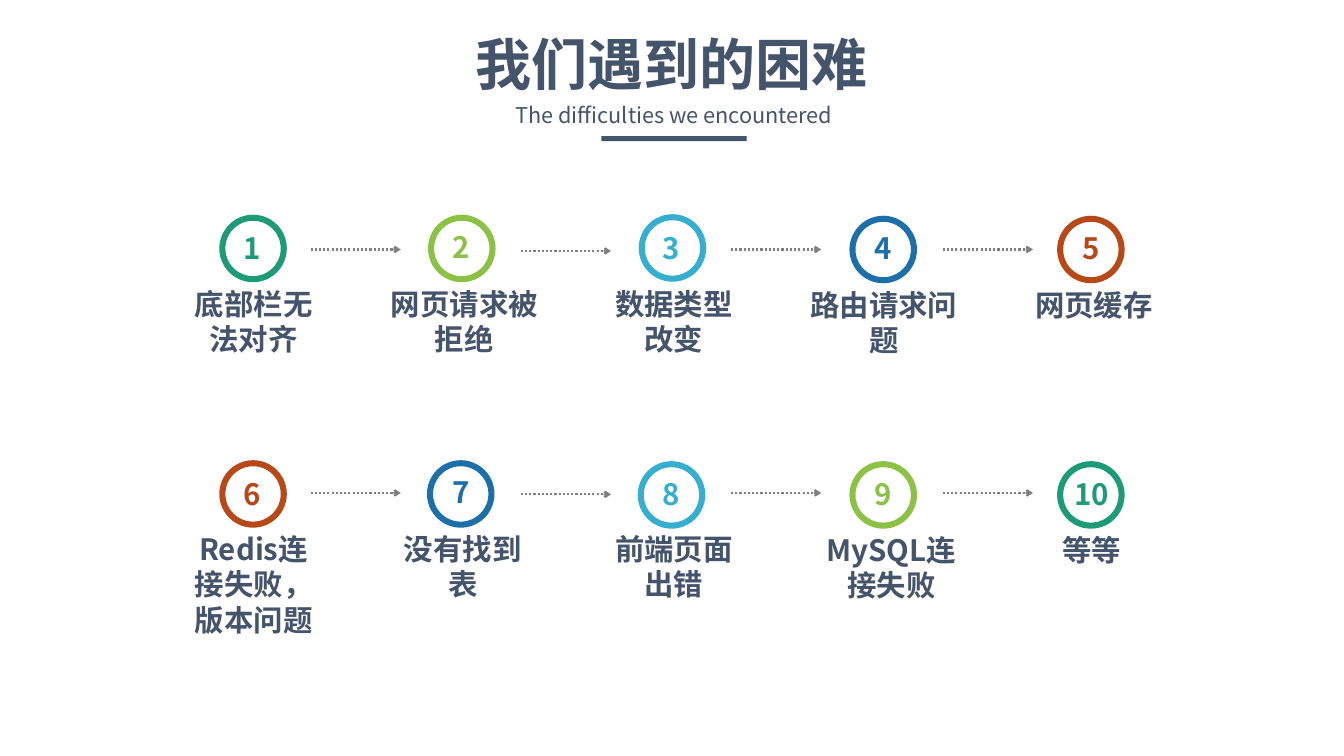
import pptx
import pptx.util
import pptx.dml.color
import pptx.enum.dml
import pptx.enum.shapes
import pptx.enum.text
import pptx.oxml.ns
import lxml.etree

Pt = pptx.util.Pt
RGB = pptx.dml.color.RGBColor.from_string
SHAPE = pptx.enum.shapes.MSO_SHAPE
qn = pptx.oxml.ns.qn
FONT = "Noto Sans CJK SC"
COLORS = {"slate": "44546A", "green": "1D9A78", "lime": "8BC145", "cyan": "36AFCE",
          "blue": "1D6FA9", "rust": "B74919", "grey": "808080"}

prs = pptx.Presentation()
prs.slide_width, prs.slide_height = Pt(1919.52), Pt(1080)
s = prs.slides.add_slide(prs.slide_layouts[6])


def add_text(text, x, y, w, h, size, color, bold=True, inset=14.4, grow=True):
    tf = s.shapes.add_textbox(Pt(x), Pt(y), Pt(w), Pt(h)).text_frame
    tf.word_wrap = True
    if grow:
        tf.auto_size = pptx.enum.text.MSO_AUTO_SIZE.SHAPE_TO_FIT_TEXT
    tf.margin_left = tf.margin_right = Pt(inset)
    tf.margin_top = tf.margin_bottom = Pt(inset / 2)
    tf.text = text
    p = tf.paragraphs[0]
    p.alignment = pptx.enum.text.PP_ALIGN.CENTER
    f = p.runs[0].font
    f.name, f.size, f.bold = FONT, Pt(size), bold
    f.color.rgb = RGB(COLORS[color])
    # East Asian glyphs take their own font setting
    lxml.etree.SubElement(p.runs[0]._r.get_or_add_rPr(), qn("a:ea"), typeface=FONT)
    return p


def add_solid(kind, x, y, w, h, color):
    sp = s.shapes.add_shape(kind, Pt(x), Pt(y), Pt(w), Pt(h))
    sp.shadow.inherit = False
    sp.fill.solid()
    sp.fill.fore_color.rgb = RGB(COLORS[color])
    sp.line.fill.background()
    return sp


# Title, subtitle and rule
add_text("我们遇到的困难", 135.4, 38.2, 1648, 104.4, 80, "slate", inset=7.2)
p = add_text("The difficulties we encountered", 185, 128.9, 1554.5, 66.2, 31, "slate",
             bold=False, inset=17.28, grow=False)
p.line_spacing = 1.2
add_solid(SHAPE.RECTANGLE, 859, 194.4, 207.4, 7.2, "slate")

# Steps: label, colour, ring left, ring top, label left, label width, label lines
RING = 96.5
ROW_PITCH = 350.6
NUMBER_LEFTS = [319.7, 617.8, 918, 1219.7, 1517.8]
steps = [
    ("底部栏无法对齐", "green", 313.2, 306.7, 257.8, 208.8, 2),
    ("网页请求被拒绝", "lime", 611.3, 306.7, 527.8, 270.7, 2),
    ("数据类型改变", "cyan", 912.2, 306, 858.2, 208.8, 2),
    ("路由请求问题", "blue", 1213.2, 308.2, 1134.7, 254.9, 2),
    ("网页缓存", "rust", 1509.8, 308.2, 1397.5, 329.8, 1),
    ("Redis连接失败，版本问题", "rust", 313.2, 657.4, 257.8, 208.8, 3),
    ("没有找到表", "blue", 609.8, 657.4, 556.6, 208.8, 2),
    ("前端页面出错", "cyan", 910.8, 658.8, 858.2, 208.8, 2),
    ("MySQL连接失败", "lime", 1213.2, 658.8, 1145.5, 254.9, 2),
    ("等等", "green", 1509.8, 658.8, 1419.1, 280.8, 1),
]
for i, (label, color, x, y, label_x, label_w, lines) in enumerate(steps):
    row, col = divmod(i, 5)
    drop = row * ROW_PITCH
    ring = add_solid(SHAPE.DONUT, x, y, RING, RING, color)
    ring.adjustments[0] = 0.09
    label_y = 401 + drop + (1.4 if col > 2 else 0)
    add_text(label, label_x, label_y, label_w, 14.6 + 50.8 * lines, 42, "slate")
    number_y = 321.8 + drop - (2 if col == 1 else 0)
    add_text(str(i + 1), NUMBER_LEFTS[col], number_y, 82.1, 65.5, 42, color)

# Dotted arrows between neighbouring steps
for row_y in (356.4, 704.2):
    for col, x in enumerate((443.5, 743.8, 1044, 1346.4)):
        y = row_y + (2.1 if col == 1 else 0)
        line = s.shapes.add_connector(pptx.enum.shapes.MSO_CONNECTOR.STRAIGHT,
                                      Pt(x), Pt(y), Pt(x + 128.9), Pt(y))
        line.line.color.rgb = RGB(COLORS["grey"])
        line.line.width = Pt(3)
        line.line.dash_style = pptx.enum.dml.MSO_LINE.ROUND_DOT
        lxml.etree.SubElement(line.line._get_or_add_ln(), qn("a:tailEnd"), type="arrow")
        lxml.etree.SubElement(line._element.spPr, qn("a:effectLst"))

prs.save("out.pptx")
